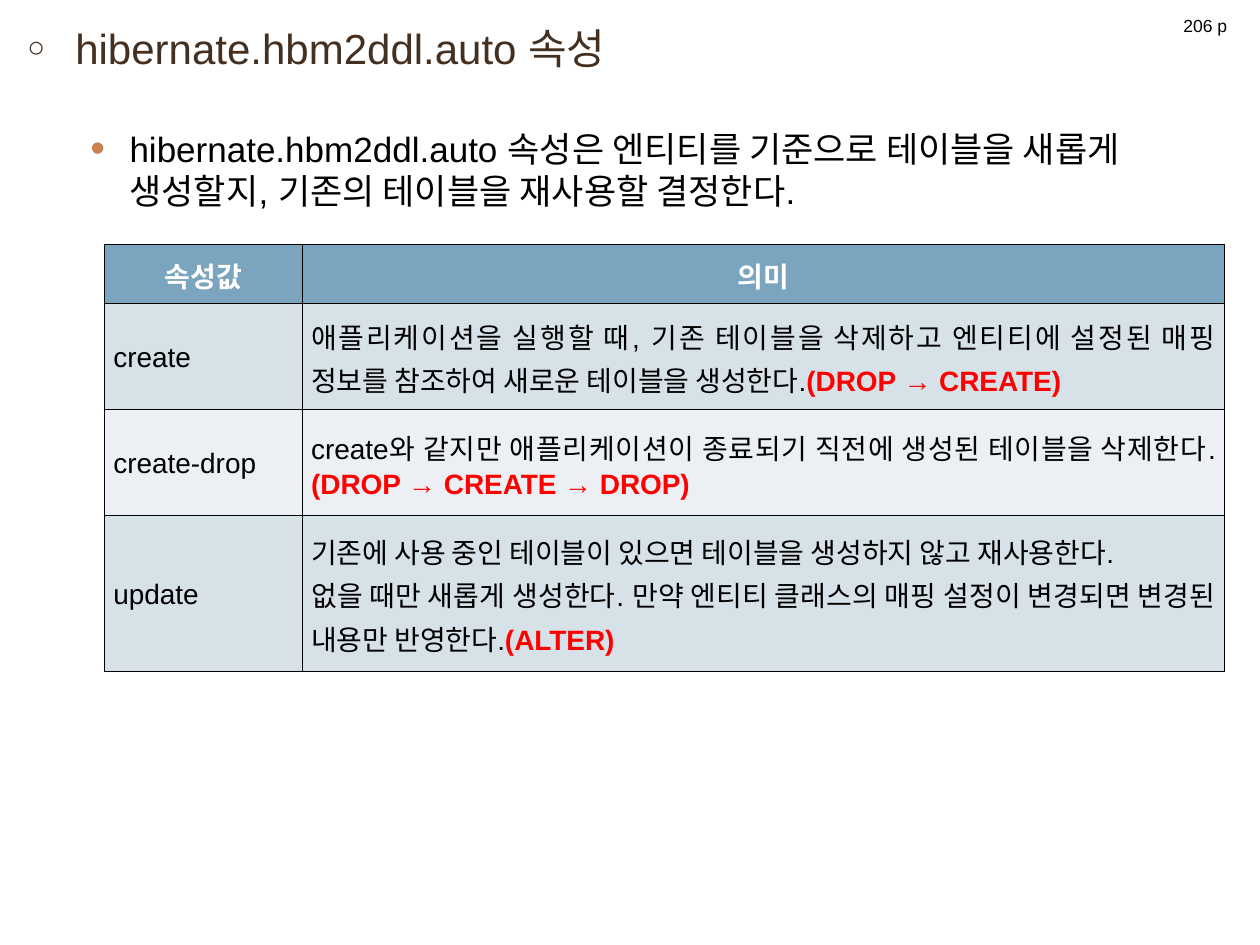
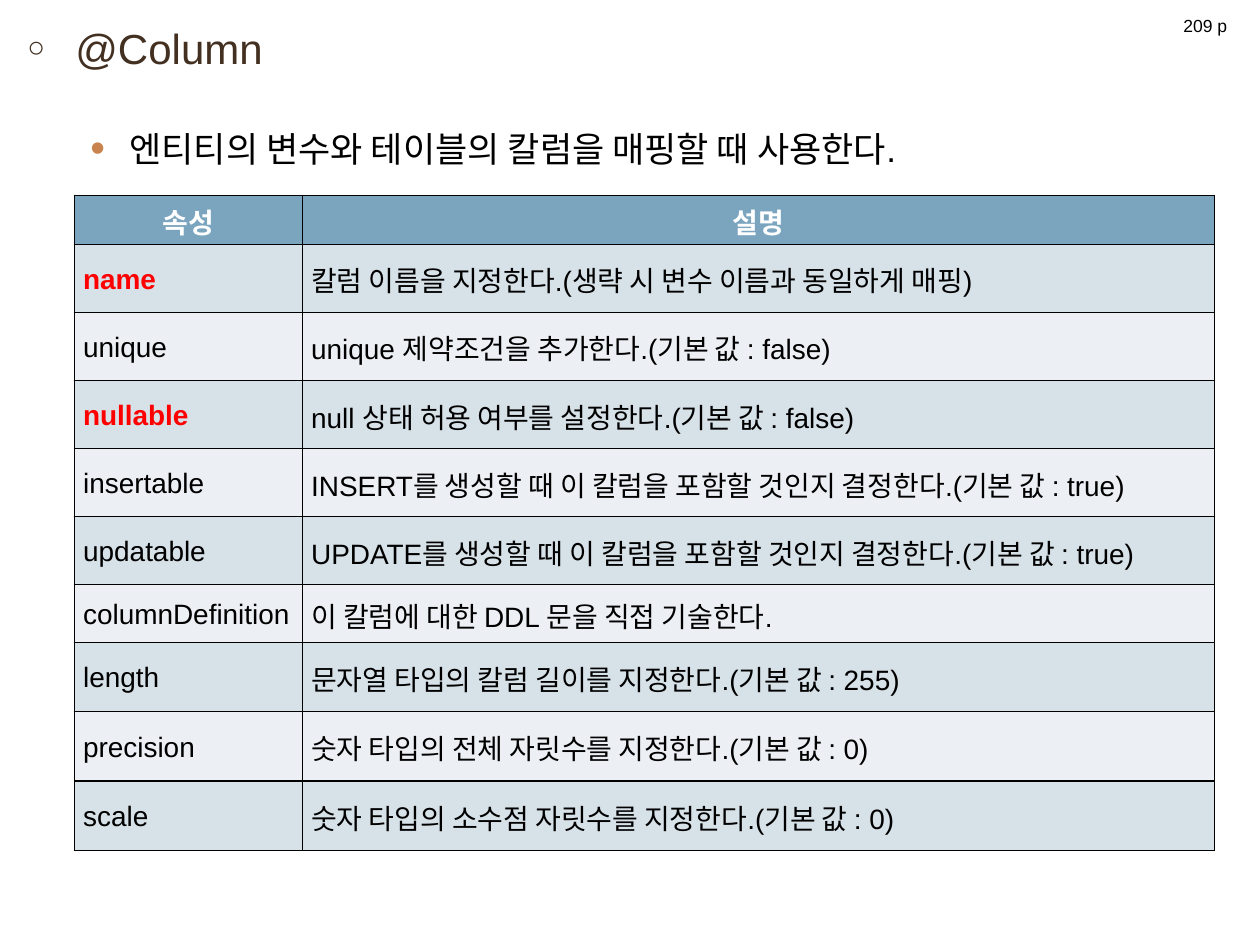
from lxml.etree import SubElement
from pptx import Presentation
from pptx.dml.color import RGBColor
from pptx.enum.shapes import MSO_SHAPE
from pptx.enum.text import MSO_ANCHOR, PP_ALIGN
from pptx.oxml import parse_xml
from pptx.oxml.ns import nsdecls, qn
from pptx.util import Inches, Pt

FONT = "Arial"
BLACK = RGBColor(0x00, 0x00, 0x00)
WHITE = RGBColor(0xFF, 0xFF, 0xFF)
RED = RGBColor(0xFF, 0x00, 0x00)
BROWN = RGBColor(0x43, 0x30, 0x21)
ORANGE = RGBColor(0xC9, 0x83, 0x4E)
HEADER = RGBColor(0x7B, 0xA5, 0xBE)
BANDS = [RGBColor(0xEC, 0xF0, 0xF4), RGBColor(0xD7, 0xE1, 0xE8)]

# In table rows, text after "|" is emphasised in red and "\n" starts a paragraph
PAGES = [
    {
        "title": "hibernate.hbm2ddl.auto 속성",
        "summary": "hibernate.hbm2ddl.auto 속성은 엔티티를 기준으로 테이블을 새롭게 생성할지, "
                   "기존의 테이블을 재사용할 결정한다.",
        "book_page": "206 p",
        "corner": (0.83, 1.94),
        "columns": [1.57, 7.32],
        "heights": [0.47, 0.84, 0.84, 1.24],
        "rows": [
            ("속성값", "의미"),
            ("create", "애플리케이션을 실행할 때, 기존 테이블을 삭제하고 엔티티에 설정된 매핑 정보를 "
                       "참조하여 새로운 테이블을 생성한다.|(DROP → CREATE)"),
            ("create-drop", "create와 같지만 애플리케이션이 종료되기 직전에 생성된 테이블을 삭제한다."
                            "|(DROP → CREATE → DROP)"),
            ("update", "기존에 사용 중인 테이블이 있으면 테이블을 생성하지 않고 재사용한다.\n"
                       "없을 때만 새롭게 생성한다. 만약 엔티티 클래스의 매핑 설정이 변경되면 "
                       "변경된 내용만 반영한다.|(ALTER)"),
        ],
    },
    {
        "title": "@Column",
        "summary": "엔티티의 변수와 테이블의 칼럼을 매핑할 때 사용한다.",
        "book_page": "209 p",
        "corner": (0.59, 1.55),
        "columns": [1.81, 7.24],
        "heights": [0.39] + [0.54] * 5 + [0.46] + [0.55] * 3,
        "rows": [
            ("속성", "설명"),
            ("|name", "칼럼 이름을 지정한다.(생략 시 변수 이름과 동일하게 매핑)"),
            ("unique", "unique 제약조건을 추가한다.(기본 값 : false)"),
            ("|nullable", "null 상태 허용 여부를 설정한다.(기본 값 : false)"),
            ("insertable", "INSERT를 생성할 때 이 칼럼을 포함할 것인지 결정한다.(기본 값 : true)"),
            ("updatable", "UPDATE를 생성할 때 이 칼럼을 포함할 것인지 결정한다.(기본 값 : true)"),
            ("columnDefinition", "이 칼럼에 대한 DDL 문을 직접 기술한다."),
            ("length", "문자열 타입의 칼럼 길이를 지정한다.(기본 값 : 255)"),
            ("precision", "숫자 타입의 전체 자릿수를 지정한다.(기본 값 : 0)"),
            ("scale", "숫자 타입의 소수점 자릿수를 지정한다.(기본 값 : 0)"),
        ],
    },
]


def add_span(para, text, size, color, bold=False):
    span = para.add_run()
    span.text = text
    span.font.name = FONT
    span.font.size = Pt(size)
    span.font.bold = bold
    span.font.color.rgb = color


def set_bullet(para, char, percent, color, margin, hanging):
    properties = para._p.get_or_add_pPr()
    properties.set("marL", str(Inches(margin)))
    properties.set("indent", str(-Inches(hanging)))
    bullet_color = SubElement(properties, qn("a:buClr"))
    SubElement(bullet_color, qn("a:srgbClr"), val=str(color))
    SubElement(properties, qn("a:buSzPct"), val=str(percent * 1000))
    SubElement(properties, qn("a:buFont"), typeface=FONT)
    SubElement(properties, qn("a:buChar"), char=char)


deck = Presentation()
deck.slide_width = Inches(10)
deck.slide_height = Inches(7.5)

for content in PAGES:
    page = deck.slides.add_slide(deck.slide_layouts[6])

    # Title and summary
    box = page.shapes.add_textbox(Inches(0.12), Inches(0.13), Inches(9.76), Inches(7.24))
    frame = box.text_frame
    frame.word_wrap = True
    title = frame.paragraphs[0]
    title.space_before = Pt(4)
    set_bullet(title, "○", 70, BROWN, 0.38, 0.38)
    add_span(title, content["title"], 24, BROWN)
    summary = frame.add_paragraph()
    summary.level = 1
    summary.space_before = Pt(31)
    set_bullet(summary, "•", 120, ORANGE, 0.81, 0.31)
    add_span(summary, content["summary"], 20, BLACK)

    # Attribute table
    left, top = content["corner"]
    columns, heights, rows = content["columns"], content["heights"], content["rows"]
    table = page.shapes.add_table(
        len(rows), len(columns), Inches(left), Inches(top),
        Inches(sum(columns)), Inches(sum(heights))).table
    for column, width in zip(table.columns, columns):
        column.width = Inches(width)
    for row_index, (texts, height) in enumerate(zip(rows, heights)):
        table.rows[row_index].height = Inches(height)
        is_header = row_index == 0
        for column_index, text in enumerate(texts):
            cell = table.cell(row_index, column_index)
            cell.vertical_anchor = MSO_ANCHOR.MIDDLE
            cell.margin_left = cell.margin_right = Inches(0.07)
            cell.margin_top = cell.margin_bottom = 0
            cell.fill.solid()
            cell.fill.fore_color.rgb = HEADER if is_header else BANDS[row_index % 2]
            for position, side in enumerate(("lnL", "lnR", "lnT", "lnB")):
                cell._tc.get_or_add_tcPr().insert(position, parse_xml(
                    f'<a:{side} {nsdecls("a")} w="{Pt(1)}"><a:solidFill>'
                    f'<a:srgbClr val="{BLACK}"/></a:solidFill></a:{side}>'))
            for line_index, line in enumerate(text.split("\n")):
                cell_frame = cell.text_frame
                para = cell_frame.add_paragraph() if line_index else cell_frame.paragraphs[0]
                para.alignment = PP_ALIGN.CENTER if is_header else PP_ALIGN.JUSTIFY
                para.line_spacing = 1.07
                plain, _, emphasis = line.partition("|")
                if plain:
                    add_span(para, plain, 16, WHITE if is_header else BLACK, is_header)
                if emphasis:
                    add_span(para, emphasis, 16, RED, True)

    # Book page label
    label = page.shapes.add_shape(
        MSO_SHAPE.RECTANGLE, Inches(9.17), Inches(0.05), Inches(0.79), Inches(0.31))
    label.shadow.inherit = False
    label.fill.solid()
    label.fill.fore_color.rgb = WHITE
    label.line.color.rgb = WHITE
    label.line.width = Pt(1.25)
    label.text_frame.vertical_anchor = MSO_ANCHOR.MIDDLE
    label_para = label.text_frame.paragraphs[0]
    label_para.alignment = PP_ALIGN.CENTER
    add_span(label_para, content["book_page"], 10, BLACK)

deck.save("out.pptx")
